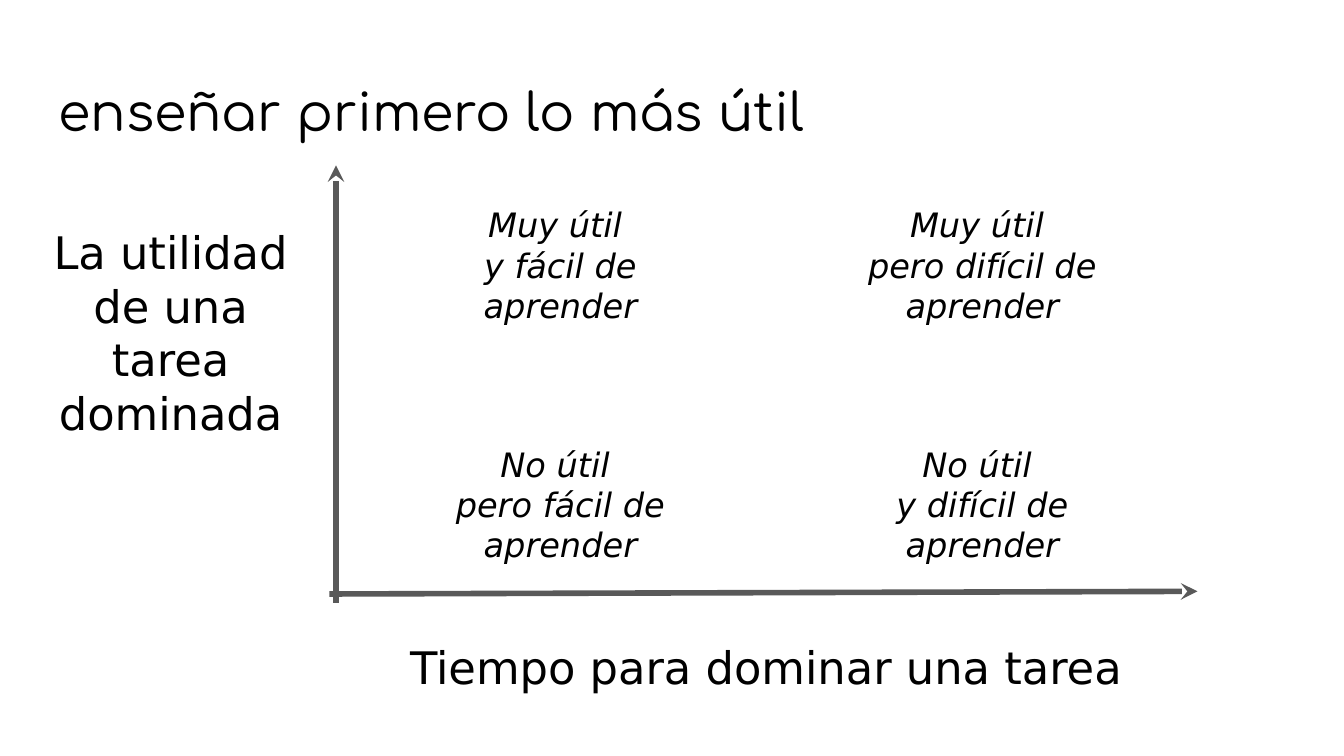
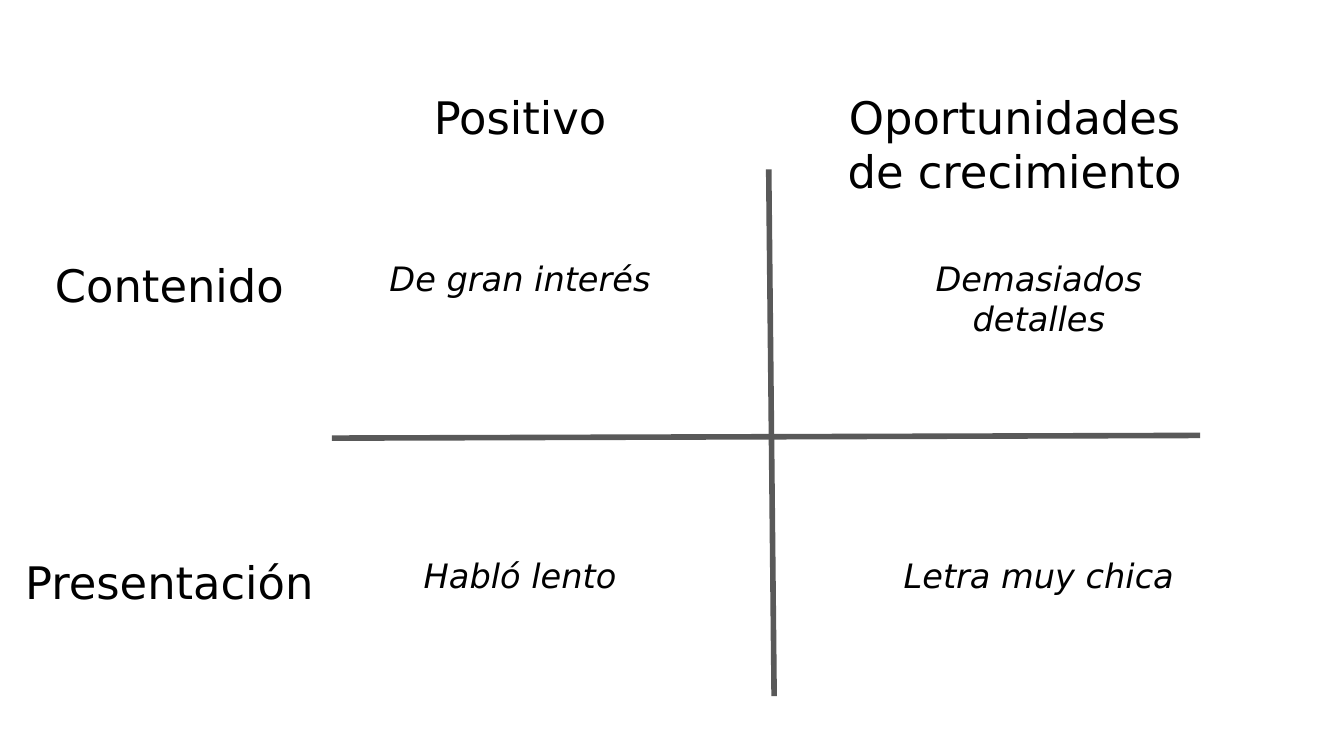
from lxml.etree import SubElement
from pptx import Presentation
from pptx.dml.color import RGBColor
from pptx.enum.shapes import MSO_CONNECTOR
from pptx.enum.text import MSO_ANCHOR, PP_ALIGN
from pptx.oxml.ns import qn
from pptx.util import Inches, Pt

WIDTH = 10
HEIGHT = WIDTH * 9 / 16
COLORS = {"text": "000000", "axis": "595959", "page": "FFFFFF"}
STYLES = {
    "title": {"name": "Comfortaa", "size": Pt(28), "italic": False},
    "label": {"name": "DejaVu Sans", "size": Pt(24), "italic": False},
    "note": {"name": "DejaVu Sans", "size": Pt(18), "italic": True},
}
FRAME = {"word_wrap": True, "vertical_anchor": MSO_ANCHOR.TOP,
         **{f"margin_{side}": Inches(0.1)
            for side in ("left", "top", "right", "bottom")}}

# Each text: lines, column, row, box width, style.
# Columns are box centres and rows are box tops, in inches.
USEFULNESS = {
    "columns": {"title": WIDTH / 2, "side": 1.27, "easy": 4.17,
                "time": 5.7, "hard": 7.31},
    "rows": {"title": 0.49, "useful": 1.42, "side": 1.57,
             "useless": 3.2, "time": 4.66},
    "lines": [((2.5, 1.23), (2.5, 4.49), "headEnd"),
              ((2.45, 4.42), (8.91, 4.4), "tailEnd")],
    "texts": [
        (["enseñar primero lo más útil"], "title", "title", 9.32, "title"),
        (["Tiempo para dominar una tarea"], "time", "time", 6.02, "label"),
        (["La utilidad de una tarea dominada"], "side", "side", 1.98, "label"),
        (["Muy útil ", "y fácil de aprender"], "easy", "useful", 2.16, "note"),
        (["Muy útil ", "pero difícil de aprender"], "hard", "useful", 2.16, "note"),
        (["No útil ", "y difícil de aprender"], "hard", "useless", 2.16, "note"),
        (["No útil ", "pero fácil de aprender"], "easy", "useless", 2.38, "note"),
    ],
}
FEEDBACK = {
    "columns": {"side": 1.26, "positive": 3.87, "growth head": 7.55,
                "growth": 7.73},
    "rows": {"head": 0.57, "content": 1.82, "delivery": 4.03},
    "lines": [((5.72, 1.26), (5.76, 5.18), None),
              ((2.47, 3.26), (8.93, 3.24), None)],
    "texts": [
        (["Positivo"], "positive", "head", 1.98, "label"),
        (["Contenido"], "side", "content", 1.98, "label"),
        (["Presentación"], "side", "delivery", 2.45, "label"),
        (["Habló lento"], "positive", "delivery", 1.98, "note"),
        (["De gran interés"], "positive", "content", 2.45, "note"),
        (["Demasiados detalles"], "growth", "content", 2.69, "note"),
        (["Letra muy chica"], "growth", "delivery", 2.56, "note"),
        (["Oportunidades de crecimiento"], "growth head", "head", 2.76, "label"),
    ],
}


def apply(target, values):
    for key, value in values.items():
        setattr(target, key, value)


def add_axis(slide, start, end, arrow):
    axis = slide.shapes.add_connector(
        MSO_CONNECTOR.STRAIGHT, *map(Inches, start + end))
    axis.line.color.rgb = RGBColor.from_string(COLORS["axis"])
    axis.line.width = Pt(3)
    if arrow:
        SubElement(axis.get_or_add_ln(), qn(f"a:{arrow}"), type="stealth")
    SubElement(axis.element.spPr, qn("a:effectLst"))


def add_text(slide, lines, center, top, width, style):
    height = {"title": 0.63}.get(style, 0.51 if len(lines) == 1 else 0.87)
    box = slide.shapes.add_textbox(
        *map(Inches, (center - width / 2, top, width, height)))
    frame = box.text_frame
    apply(frame, FRAME)
    frame.text = "\n".join(lines)
    for paragraph in frame.paragraphs:
        paragraph.alignment = PP_ALIGN.LEFT if style == "title" else PP_ALIGN.CENTER
        for run in paragraph.runs:
            apply(run.font, STYLES[style])
            run.font.color.rgb = RGBColor.from_string(COLORS["text"])


def add_quadrants(deck, content):
    slide = deck.slides.add_slide(deck.slide_layouts[6])
    slide.background.fill.solid()
    slide.background.fill.fore_color.rgb = RGBColor.from_string(COLORS["page"])
    # Axes
    for line in content["lines"]:
        add_axis(slide, *line)
    # Title, labels and notes
    for lines, column, row, width, style in content["texts"]:
        add_text(slide, lines, content["columns"][column],
                 content["rows"][row], width, style)


def main():
    deck = Presentation()
    deck.slide_width, deck.slide_height = Inches(WIDTH), Inches(HEIGHT)
    for content in (USEFULNESS, FEEDBACK):
        add_quadrants(deck, content)
    deck.save("out.pptx")


if __name__ == "__main__":
    main()
